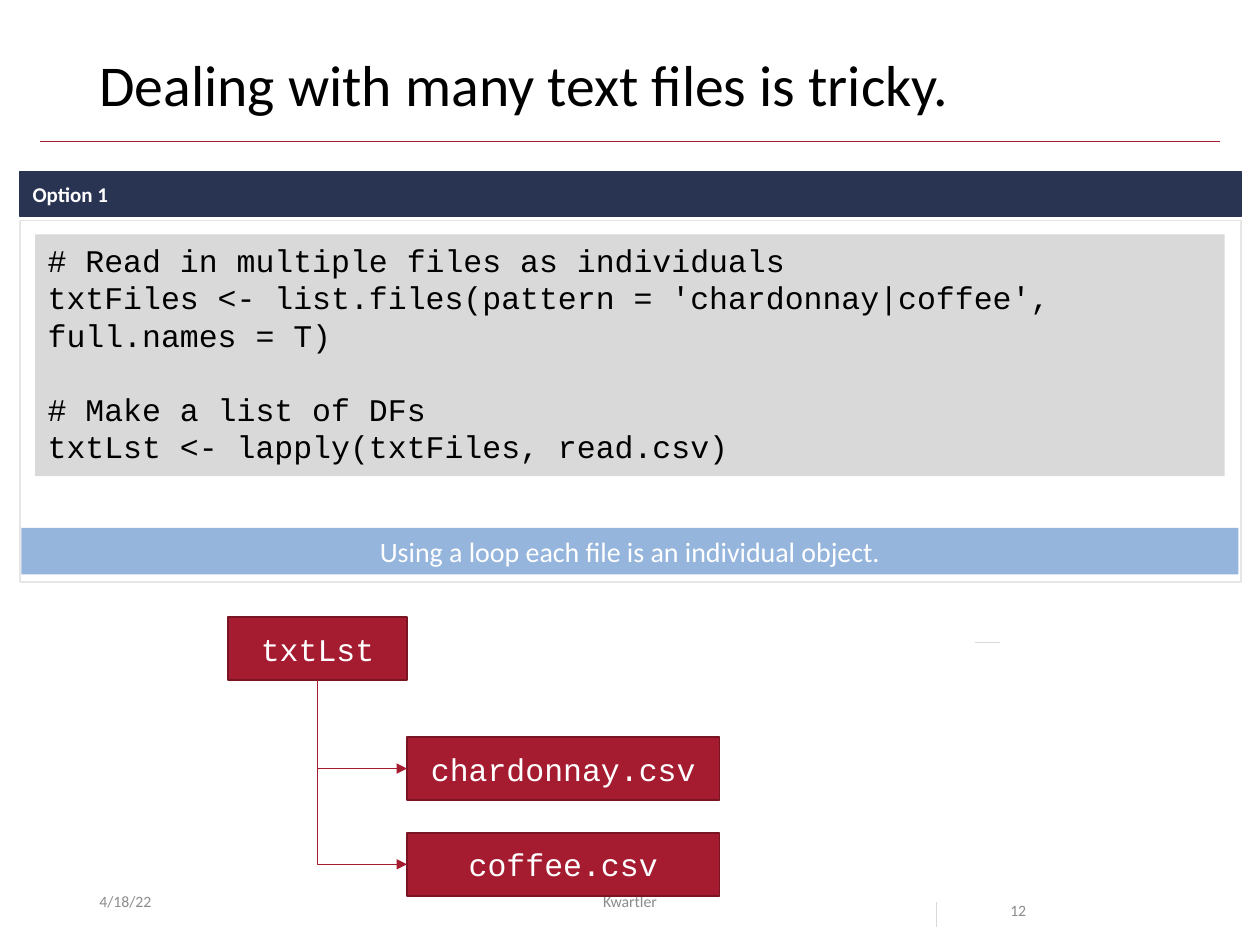
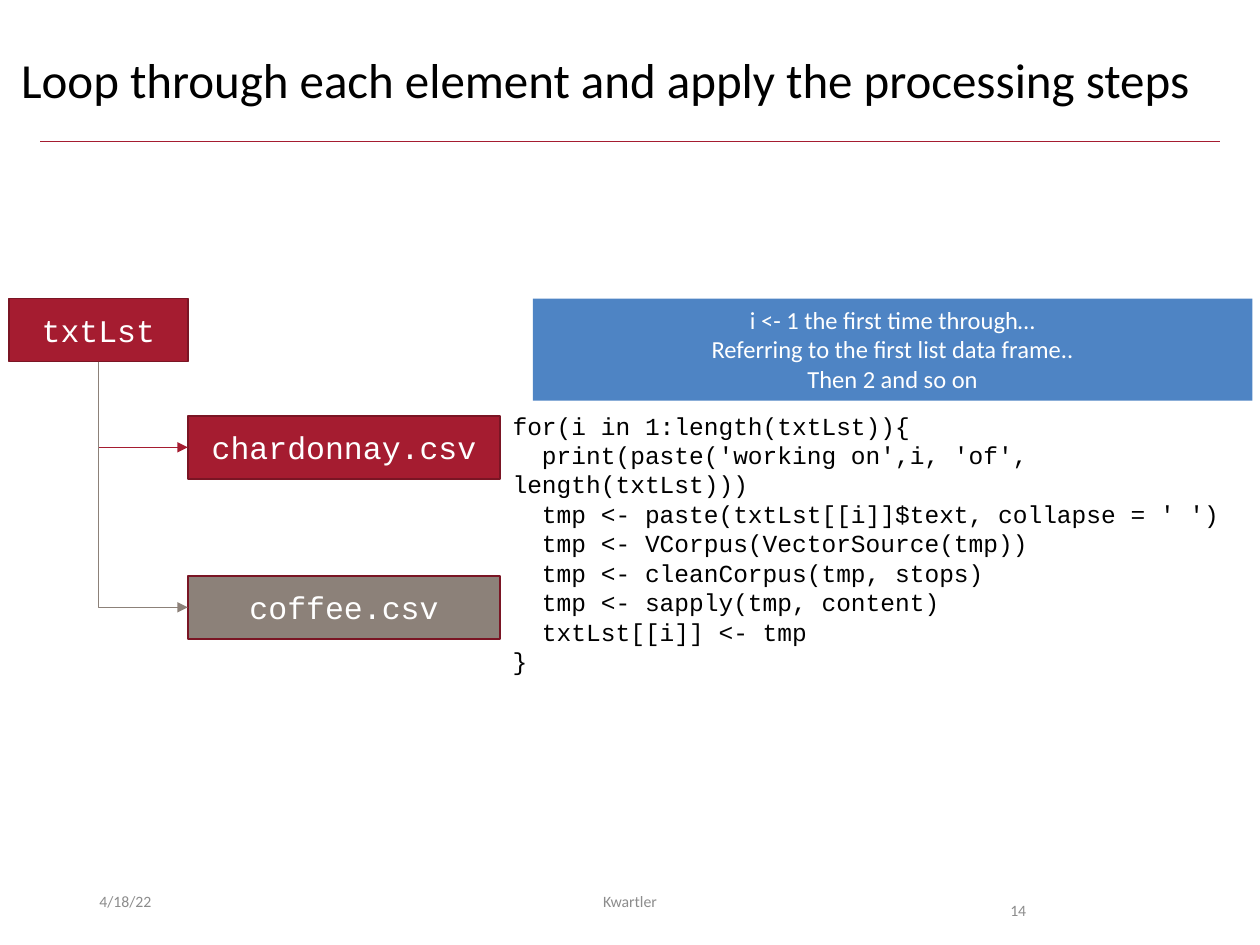
from pptx import Presentation
from pptx import util as u
from pptx.dml.color import RGBColor
from pptx.enum import shapes, text
from pptx.oxml.ns import qn
from lxml import etree

COLORS = {
    "crimson": "A51C30", "edge": "7A1524", "taupe": "8C8179",
    "navy": "293352", "sky": "95B5DC", "blue": "4E84C4",
    "code_bg": "D9D9D9", "frame": "E7E6E6", "footer": "8C8C8C",
    "black": "000000", "white": "FFFFFF",
}
BODY, MONO = "Calibri", "Courier New"
ALIGN, ANCHOR = text.PP_ALIGN, text.MSO_ANCHOR
NODE_H, ROOT_W, LEAF_W = 0.5, 1.42, 2.48


def rgb(name):
    return RGBColor.from_string(COLORS[name])


def write(sp, lines, size, color, font=BODY, bold=False, align=ALIGN.LEFT,
          anchor=ANCHOR.TOP, spacing=None, inset_y=0.05, gaps=None):
    """Fill a shape with paragraphs; gaps maps a paragraph index to space before."""
    tf = sp.text_frame
    frame_format = {"word_wrap": True, "vertical_anchor": anchor,
                    "margin_top": u.Inches(inset_y), "margin_bottom": u.Inches(inset_y)}
    for key, value in frame_format.items():
        setattr(tf, key, value)
    run_format = {"name": font, "size": u.Pt(size), "bold": bold}
    for i, line in enumerate(lines):
        p = tf.paragraphs[0] if i == 0 else tf.add_paragraph()
        p.alignment = align
        if spacing:
            p.line_spacing = spacing
        if gaps and i in gaps:
            p.space_before = u.Pt(gaps[i])
        r = p.add_run()
        r.text = line
        for key, value in run_format.items():
            setattr(r.font, key, value)
        r.font.color.rgb = rgb(color)


def label(s, box, lines, size, color="black", **fmt):
    sp = s.shapes.add_textbox(*map(u.Inches, box))
    write(sp, lines, size, color, **fmt)


def block(s, box, fill, edge=None, weight=0.75):
    sp = s.shapes.add_shape(shapes.MSO_SHAPE.RECTANGLE, *map(u.Inches, box))
    sp.shadow.inherit = False
    sp.fill.solid()
    sp.fill.fore_color.rgb = rgb(fill)
    if edge:
        sp.line.color.rgb = rgb(edge)
        sp.line.width = u.Pt(weight)
    else:
        sp.line.fill.background()
    return sp


def line(s, start, end, color, kind=shapes.MSO_CONNECTOR.STRAIGHT):
    c = s.shapes.add_connector(kind, *map(u.Inches, start + end))
    c.line.color.rgb = rgb(color)
    c.line.width = u.Pt(0.5)
    etree.SubElement(c._element.spPr, qn("a:effectLst"))
    return c


def elbow_arrow(s, start, end, color):
    """Arrow that runs down from start, then right to end."""
    c = line(s, start, end, color, shapes.MSO_CONNECTOR.ELBOW)
    (x1, y1), (x2, y2) = start, end
    w, h = y2 - y1, x2 - x1  # size before the quarter turn
    place = {"left": (x1 + x2 - w) / 2, "top": (y1 + y2 - h) / 2, "width": w, "height": h}
    for key, value in place.items():
        setattr(c, key, u.Inches(value))
    pr = c._element.spPr
    xfrm = pr.find(qn("a:xfrm"))
    xfrm.set("rot", str(270 * 60000))
    xfrm.set("flipH", "1")
    pr.find(qn("a:prstGeom")).set("prst", "bentConnector2")
    etree.SubElement(pr.find(qn("a:ln")), qn("a:tailEnd"), type="triangle")


def node(s, x, y, w, name, fill="crimson"):
    sp = block(s, (x, y, w, NODE_H), fill, "edge", 1)
    write(sp, [name], 18, "white", font=MONO, align=ALIGN.CENTER, anchor=ANCHOR.MIDDLE)


def file_tree(s, x, y, leaves):
    """Root list box with one (name, top, colour) leaf per file."""
    node(s, x, y, ROOT_W, "txtLst")
    leaf_x = x + ROOT_W
    for name, top, color in leaves:
        node(s, leaf_x, top, LEAF_W, name, color)
    for name, top, color in leaves:
        elbow_arrow(s, (x + ROOT_W / 2, y + NODE_H), (leaf_x, top + NODE_H / 2), color)


def new_slide(prs, title, number, title_x=0.69, title_w=8.62, title_size=33):
    """Slide with the shared rule, title and footer."""
    s = prs.slides.add_slide(prs.slide_layouts[6])
    line(s, (0.32, 1.12), (9.68, 1.12), "crimson")
    label(s, (title_x, 0.4, title_w, 0.65), [title], title_size, spacing=0.9)
    footers = [(0.69, 2.25, "4/18/22", ALIGN.LEFT, None),
               (3.31, 3.38, "Kwartler", ALIGN.CENTER, None),
               (7.92, 0.94, number, ALIGN.LEFT, 2.0)]
    for x, w, words, align, spacing in footers:
        label(s, (x, 6.95, w, 0.4), [words], 9, "footer", align=align,
              anchor=ANCHOR.MIDDLE, spacing=spacing)
    return s


def many_files(prs):
    s = new_slide(prs, "Dealing with many text files is tricky.", "12")

    # Option panel with code and takeaway
    block(s, (0.16, 1.75, 9.69, 2.87), "white", "frame")
    header = block(s, (0.16, 1.36, 9.69, 0.36), "navy", "navy")
    write(header, ["Option 1"], 12, "white", bold=True, anchor=ANCHOR.MIDDLE, inset_y=0.1)
    code = block(s, (0.28, 1.86, 9.44, 1.92), "code_bg")
    write(code, [
        "# Read in multiple files as individuals",
        "txtFiles <- list.files(pattern = 'chardonnay|coffee', full.names = T)",
        "# Make a list of DFs",
        "txtLst <- lapply(txtFiles, read.csv)",
    ], 18, "black", font=MONO, gaps={2: 20.4})
    takeaway = block(s, (0.17, 4.19, 9.66, 0.37), "sky")
    write(takeaway, ["Using a loop each file is an individual object."], 16, "white",
          align=ALIGN.CENTER)

    # Small tick marks
    line(s, (7.43, 7.16), (7.43, 7.36), "code_bg")
    line(s, (7.74, 5.1), (7.94, 5.1), "code_bg")

    file_tree(s, 1.81, 4.9, [("chardonnay.csv", 5.85, "crimson"),
                             ("coffee.csv", 6.61, "crimson")])


def loop_elements(prs):
    s = new_slide(prs, "Loop through each element and apply the processing steps", "14",
                  title_x=0.07, title_w=9.93, title_size=28)
    file_tree(s, 0.07, 2.37, [("chardonnay.csv", 3.3, "crimson"),
                              ("coffee.csv", 4.57, "taupe")])

    # Loop code and its explanation
    label(s, (3.97, 3.21, 6.03, 1.99), [
        "for(i in 1:length(txtLst)){",
        "  print(paste('working on',i, 'of', length(txtLst)))",
        "  tmp <- paste(txtLst[[i]]$text, collapse = ' ')",
        "  tmp <- VCorpus(VectorSource(tmp))",
        "  tmp <- cleanCorpus(tmp, stops)",
        "  tmp <- sapply(tmp, content)",
        "  txtLst[[i]] <- tmp",
        "}",
    ], 14, font=MONO)
    note = block(s, (4.23, 2.37, 5.71, 0.81), "blue")
    write(note, ["i <- 1 the first time through…",
                 "Referring to the first list data frame..",
                 "Then 2 and so on"], 14, "white", align=ALIGN.CENTER)


def main():
    prs = Presentation()
    prs.slide_width, prs.slide_height = u.Inches(10), u.Inches(7.5)
    many_files(prs)
    loop_elements(prs)
    prs.save("out.pptx")


if __name__ == "__main__":
    main()
